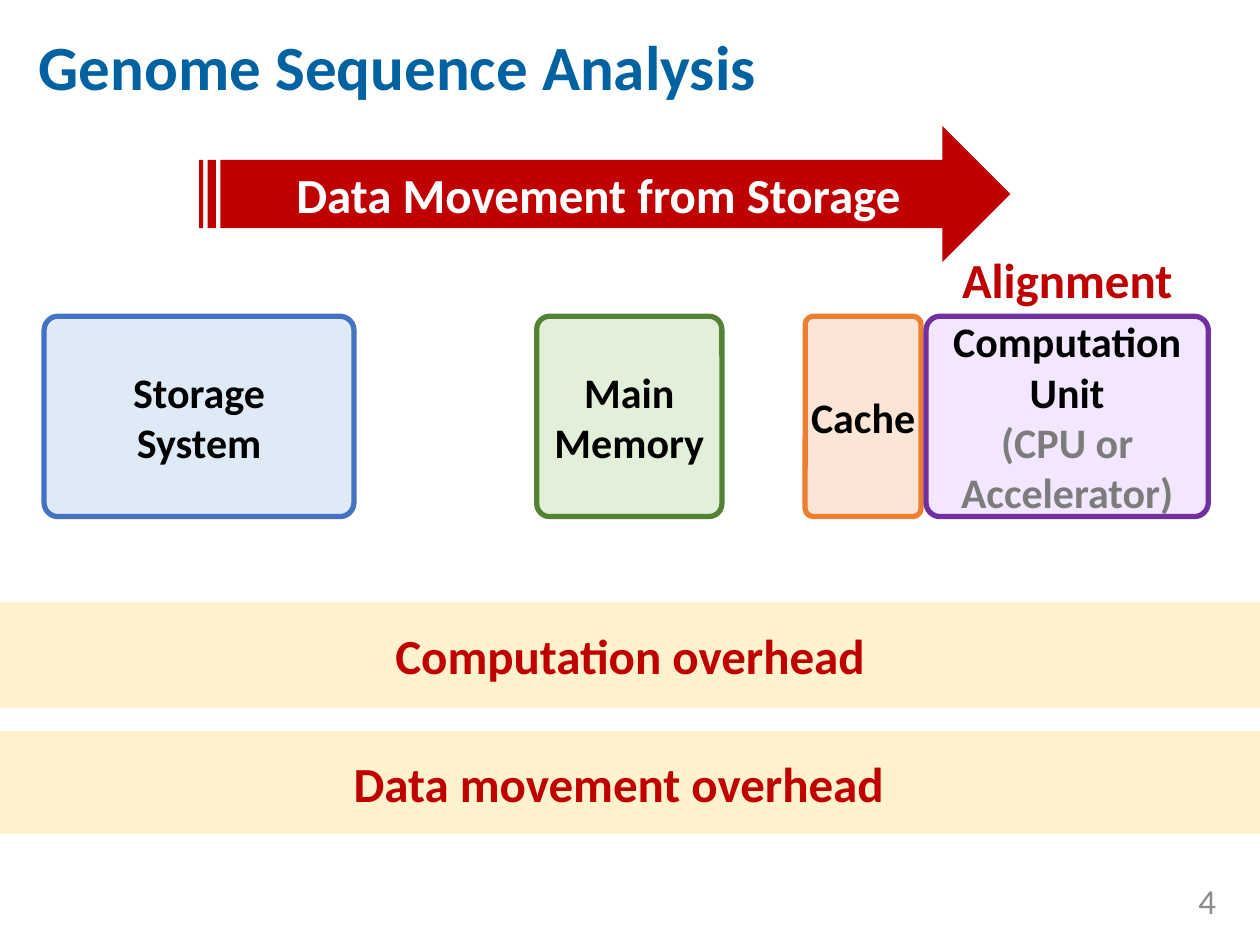
from dataclasses import dataclass

from pptx import Presentation
from pptx.dml.color import RGBColor
from pptx.enum.shapes import MSO_SHAPE
from pptx.enum.text import MSO_ANCHOR, PP_ALIGN
from pptx.util import Inches, Pt

RECTANGLE = MSO_SHAPE.RECTANGLE
ROUNDED = MSO_SHAPE.ROUNDED_RECTANGLE
STRIPED_ARROW = MSO_SHAPE.STRIPED_RIGHT_ARROW
LEFT, CENTER, RIGHT = PP_ALIGN.LEFT, PP_ALIGN.CENTER, PP_ALIGN.RIGHT
MIDDLE = MSO_ANCHOR.MIDDLE


@dataclass(frozen=True)
class Theme:
    font: str = "Calibri"
    title_size: int = 36
    callout_size: int = 28
    unit_size: int = 24
    number_size: int = 20
    title: str = "0062A0"
    accent: str = "C00000"
    band: str = "FFF2CC"
    text: str = "000000"
    muted: str = "7C7C7C"
    number: str = "8C8C8C"
    light: str = "FFFFFF"


THEME = Theme()


def write(shape, lines, size, align=CENTER, bold=True):
    """Fill a shape with one paragraph per (text, colour) pair."""
    frame = shape.text_frame
    frame.word_wrap = True
    frame.vertical_anchor = MIDDLE
    for index, (text, color) in enumerate(lines):
        paragraph = frame.paragraphs[0] if index == 0 else frame.add_paragraph()
        paragraph.alignment = align
        run = paragraph.add_run()
        run.text = text
        for key, value in {"name": THEME.font, "size": Pt(size), "bold": bold}.items():
            setattr(run.font, key, value)
        run.font.color.rgb = RGBColor.from_string(color)


def add_block(kind, box, fill, line=None):
    shape = slide.shapes.add_shape(kind, *map(Inches, box))
    shape.shadow.inherit = False
    shape.fill.solid()
    shape.fill.fore_color.rgb = RGBColor.from_string(fill)
    if line:
        shape.line.color.rgb = RGBColor.from_string(line)
        shape.line.width = Pt(3)
    else:
        shape.line.fill.background()
    return shape


prs = Presentation()
prs.slide_width, prs.slide_height = Inches(10), Inches(7.5)
slide = prs.slides.add_slide(prs.slide_layouts[6])

# Title, step label and slide number
labels = [
    ((0.21, 0.1, 9.62, 0.84), "Genome Sequence Analysis", THEME.title, THEME.title_size, LEFT, True),
    ((7.48, 1.93, 1.98, 0.57), "Alignment", THEME.accent, THEME.callout_size, CENTER, True),
    ((8.67, 6.95, 1.08, 0.4), "4", THEME.number, THEME.number_size, RIGHT, False),
]
for box, text, color, size, align, bold in labels:
    label = slide.shapes.add_textbox(*map(Inches, box))
    write(label, [(text, color)], size, align, bold)

# Overhead bands
bands = [
    (4.78, 0.84, "Computation overhead", 0.1),
    (5.8, 0.82, "Data movement overhead", 0.28),
]
for top, height, text, right_margin in bands:
    band = add_block(RECTANGLE, (0, top, 10, height), THEME.band)
    band.text_frame.margin_right = Inches(right_margin)
    write(band, [(text, THEME.accent)], THEME.callout_size)

# Path of the data, from storage to computation
UNIT_TOP, UNIT_HEIGHT = 2.51, 1.59
units = [
    (0.35, 2.46, "DEEBF7", "4472C4", 0.1,
     [("Storage", THEME.text), ("System", THEME.text)]),
    (4.26, 1.47, "E2F0D9", "548235", 0.1,
     [("Main", THEME.text), ("Memory", THEME.text)]),
    (6.39, 0.92, "FBE5D6", "ED7D31", 0,
     [("Cache", THEME.text)]),
    (7.35, 2.24, "F2E7FF", "7030A0", 0.1,
     [("Computation", THEME.text), ("Unit", THEME.text),
      ("(CPU or Accelerator)", THEME.muted)]),
]
for left, width, fill, line, margin, lines in units:
    unit = add_block(ROUNDED, (left, UNIT_TOP, width, UNIT_HEIGHT), fill, line)
    unit.adjustments[0] = 0.07
    unit.text_frame.margin_left = unit.text_frame.margin_right = Inches(margin)
    write(unit, lines, THEME.unit_size)

movement = add_block(STRIPED_ARROW, (1.58, 1, 6.44, 1.08), THEME.accent)
write(movement, [("Data Movement from Storage", THEME.light)], THEME.callout_size)

prs.save("out.pptx")
